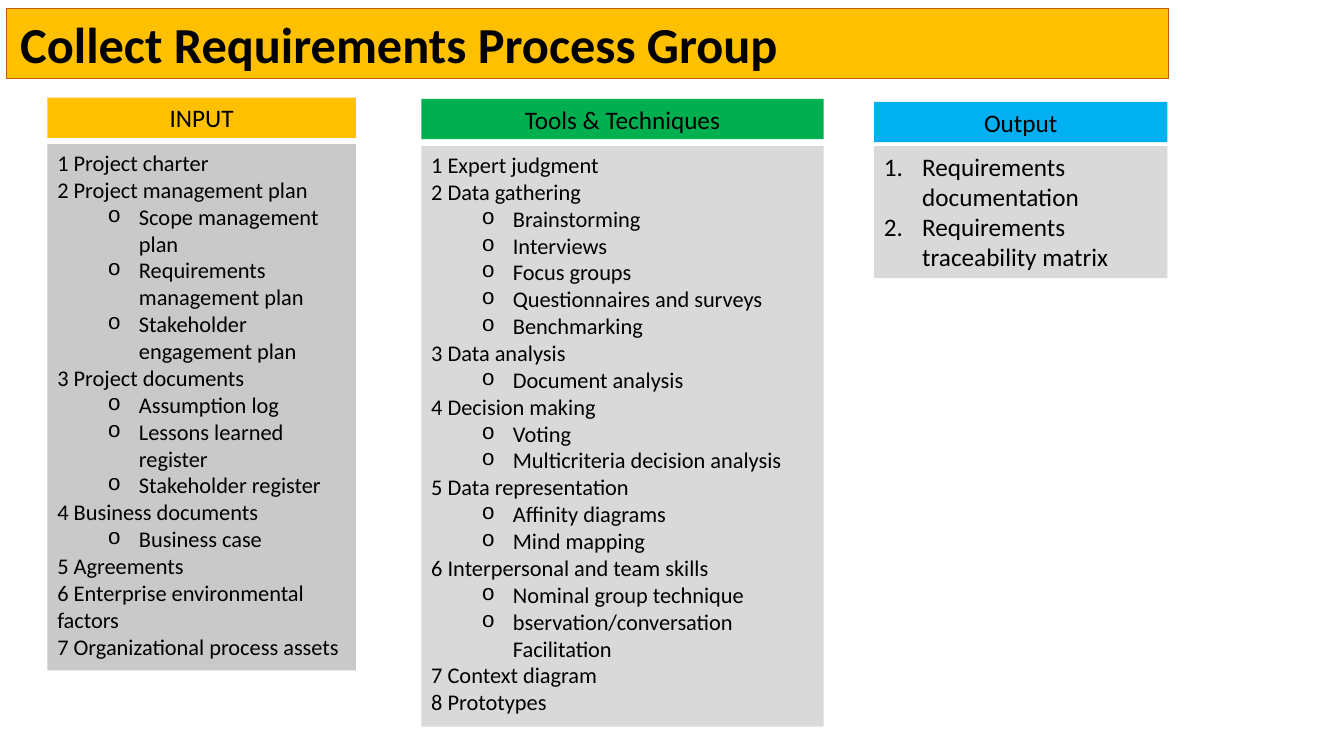
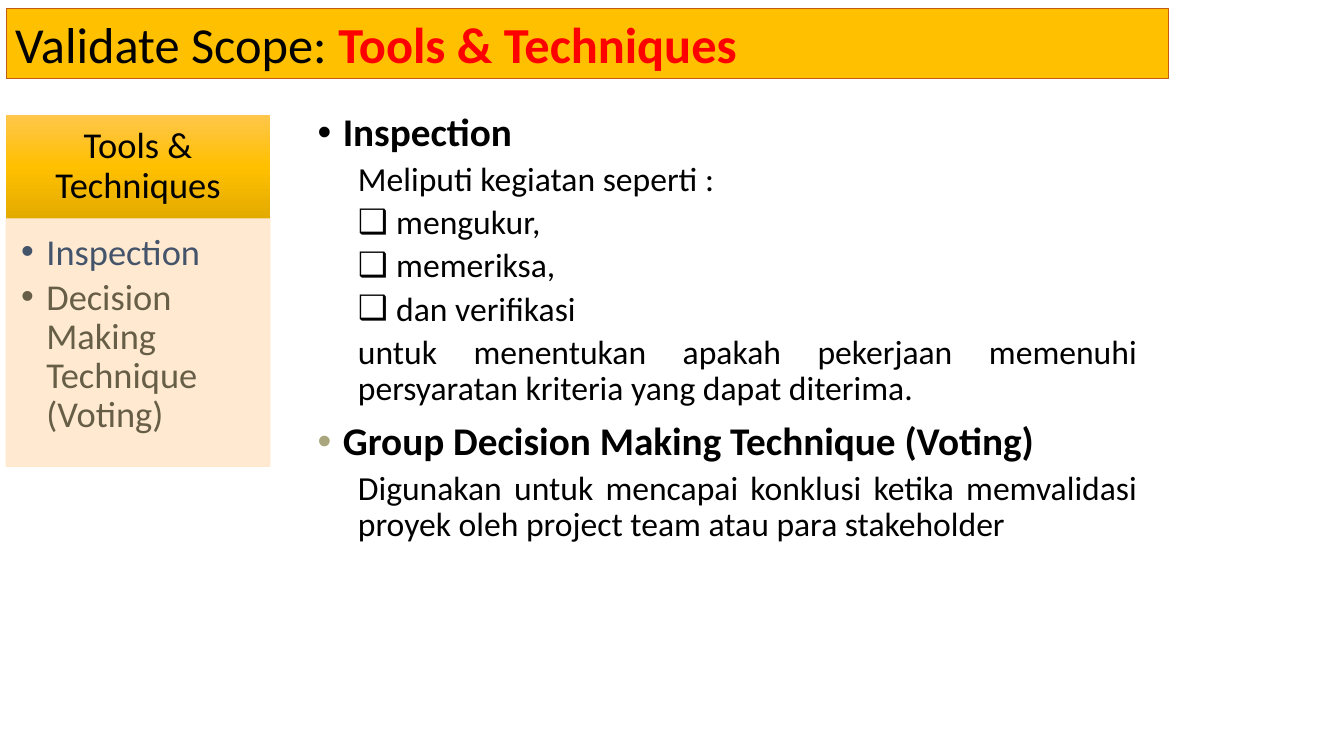
"""Build two project scope slides: collecting requirements and validating scope."""
from copy import deepcopy

from lxml import etree
from pptx import Presentation
from pptx.dml.color import RGBColor
from pptx.enum.shapes import MSO_SHAPE
from pptx.enum.text import MSO_ANCHOR, MSO_AUTO_SIZE, PP_ALIGN
from pptx.oxml.ns import qn
from pptx.util import Inches, Pt

RECTANGLE = MSO_SHAPE.RECTANGLE
TOP, MIDDLE = MSO_ANCHOR.TOP, MSO_ANCHOR.MIDDLE
NO_FIT = MSO_AUTO_SIZE.NONE
LEFT, CENTER, JUSTIFY = PP_ALIGN.LEFT, PP_ALIGN.CENTER, PP_ALIGN.JUSTIFY

FONT = "Calibri"
COLORS = {
    "black": "000000", "red": "FF0000", "amber": "FFC000", "rust": "C55A11",
    "green": "00B050", "blue": "00B0F0", "silver": "C9C9C9", "gray": "D9D9D9",
    "light amber": "FFC64B", "dark amber": "E3AB00", "cream": "FFE8CC",
    "slate": "44546A", "olive": "675E47", "sage": "A9A57C",
}
RGB = {name: RGBColor.from_string(value) for name, value in COLORS.items()}


def set_box(shape, area, anchor, fill=None, insets=(0.1, 0.05, 0.1, 0.05)):
    """Place a shape by percentages of the slide and prepare its fill and text frame."""
    left, top, width, height = area
    shape.left, shape.width = int(deck.slide_width * left / 100), int(deck.slide_width * width / 100)
    shape.top, shape.height = int(deck.slide_height * top / 100), int(deck.slide_height * height / 100)
    if fill:
        shape.fill.solid()
        shape.fill.fore_color.rgb = RGB[fill]
        shape.line.fill.background()
    frame = shape.text_frame
    frame.word_wrap, frame.auto_size, frame.vertical_anchor = True, NO_FIT, anchor
    frame.margin_left, frame.margin_top, frame.margin_right, frame.margin_bottom = map(Inches, insets)
    return frame


def add_text(frame, runs, size, align=LEFT, level=0, indent=(0, 0), bullet=None,
             bullet_color=None, spacing=1.0, before=0, after=0):
    """Add a paragraph of (text, color, bold) runs, using the empty first one if there is one."""
    first = not frame.paragraphs[0].runs
    para = frame.paragraphs[0] if first else frame.add_paragraph()
    para.alignment, para.level, para.line_spacing = align, level, spacing
    para.space_before, para.space_after = Pt(0 if first else before), Pt(after)
    properties = para._p.get_or_add_pPr()
    properties.set("marL", str(Inches(indent[0])))
    properties.set("indent", str(Inches(indent[1])))
    if bullet_color:
        color = etree.SubElement(properties, qn("a:buClr"))
        etree.SubElement(color, qn("a:srgbClr"), val=COLORS[bullet_color])
    if bullet == "1.":
        etree.SubElement(properties, qn("a:buFont"), typeface=FONT)
        etree.SubElement(properties, qn("a:buAutoNum"), type="arabicPeriod")
    elif bullet:
        typeface = "Courier New" if bullet == "o" else "Arial"
        etree.SubElement(properties, qn("a:buFont"), typeface=typeface)
        etree.SubElement(properties, qn("a:buChar"), char=bullet)
    else:
        etree.SubElement(properties, qn("a:buNone"))
    for text, color, bold in runs:
        span = para.add_run()
        span.text = text
        span.font.name, span.font.size, span.font.bold = FONT, Pt(size), bold
        span.font.color.rgb = RGB[color]


deck = Presentation()
deck.slide_width, deck.slide_height = Inches(13.33), Inches(7.5)
title_and_body, title_only = deck.slide_layouts[1], deck.slide_layouts[5]

titles = [
    (title_only, 0.14, [("Collect Requirements Process Group", "black", True)]),
    (title_and_body, 0.09, [("Validate Scope: ", "black", False),
                            ("Tools & Techniques", "red", True)]),
]
pages = []
for layout, inset, runs in titles:
    page = deck.slides.add_slide(layout)
    band = page.shapes.title
    frame = set_box(band, (0.45, 1.07, 86.48, 9.33), MIDDLE, "amber", (inset, 0.05, 0.09, 0.05))
    band.line.color.rgb, band.line.width = RGB["rust"], Pt(0.75)
    add_text(frame, runs, 36)
    pages.append(page)
process_page, scope_page = pages

inputs = [
    ("1 Project charter", []),
    ("2 Project management plan", ["Scope management plan", "Requirements management plan",
                                   "Stakeholder engagement plan"]),
    ("3 Project documents", ["Assumption log", "Lessons learned register", "Stakeholder register"]),
    ("4 Business documents", ["Business case"]),
    ("5 Agreements", []),
    ("6 Enterprise environmental factors", []),
    ("7 Organizational process assets", []),
]
techniques = [
    ("1 Expert judgment", []),
    ("2 Data gathering", ["Brainstorming", "Interviews", "Focus groups",
                          "Questionnaires and surveys", "Benchmarking"]),
    ("3 Data analysis", ["Document analysis"]),
    ("4 Decision making", ["Voting", "Multicriteria decision analysis"]),
    ("5 Data representation", ["Affinity diagrams", "Mind mapping"]),
    ("6 Interpersonal and team skills", ["Nominal group technique",
                                         "bservation/conversation Facilitation"]),
    ("7 Context diagram", []),
    ("8 Prototypes", []),
]
outputs = [("Requirements documentation", []), ("Requirements traceability matrix", [])]

plain_item = {"size": 16}
numbered_item = {"size": 18, "indent": (0.38, -0.38), "bullet": "1."}
columns = [
    ("INPUT", "amber", "silver", 3.53, 22.95, 12.93, 19.07, 69.6, inputs, plain_item),
    ("Tools & Techniques", "green", "gray", 31.35, 29.93, 13.07, 19.33, 76.8, techniques, plain_item),
    ("Output", "blue", "gray", 65.03, 21.83, 13.47, 19.33, 17.47, outputs, numbered_item),
]
for heading, head_fill, list_fill, left, width, head_top, list_top, height, items, style in columns:
    head = process_page.shapes.add_shape(RECTANGLE, 0, 0, 0, 0)
    head.shadow.inherit = False
    frame = set_box(head, (left, head_top, width, 5.33), MIDDLE, head_fill)
    add_text(frame, [(heading, "black", False)], 18, CENTER)
    panel = process_page.shapes.add_shape(RECTANGLE, 0, 0, 0, 0)
    panel.shadow.inherit = False
    frame = set_box(panel, (left, list_top, width, height), TOP, list_fill)
    for item, details in items:
        add_text(frame, [(item, "black", False)], **style)
        for detail in details:
            add_text(frame, [(detail, "black", False)], 16, level=1, indent=(0.81, -0.31), bullet="o")

card_head = scope_page.shapes.add_shape(RECTANGLE, 0, 0, 0, 0)
card_head.shadow.inherit = False
frame = set_box(card_head, (0.45, 15.2, 19.65, 13.73), MIDDLE, "amber", (0.2, 0.12, 0.2, 0.12))
card_head.fill.gradient()
card_head.fill.gradient_angle = 270
stop_list = card_head._element.spPr.find(".//" + qn("a:gsLst"))
stop_list.insert(1, deepcopy(stop_list[0]))
shades = [(0, "light amber"), (0.5, "amber"), (1, "dark amber")]
for stop, (position, shade) in zip(card_head.fill.gradient_stops, shades):
    stop.position, stop.color.rgb = position, RGB[shade]
add_text(frame, [("Tools & Techniques", "black", False)], 26, CENTER, spacing=0.9)

card = scope_page.shapes.add_shape(RECTANGLE, 0, 0, 0, 0)
card.shadow.inherit = False
frame = set_box(card, (0.45, 28.93, 19.65, 32.8), TOP, "cream", (0.15, 0.15, 0.2, 0.23))
card.line.color.rgb, card.line.width = RGB["cream"], Pt(0.5)
for color in card._element.spPr.iter(qn("a:srgbClr")):
    etree.SubElement(color, qn("a:alpha"), val="90000")
for item, color in [("Inspection", "slate"), ("Decision Making Technique (Voting)", "olive")]:
    add_text(frame, [(item, color, False)], 26, level=1, indent=(0.25, -0.25),
             bullet="•", spacing=0.9, after=4)

topic = {"size": 28, "indent": (0.25, -0.25), "bullet": "•", "before": 10}
detail = {"size": 24, "level": 1, "indent": (0.4, 0), "before": 5}
check = {**detail, "indent": (0.78, -0.38), "bullet": "❑"}
explanations = [
    ("Inspection", topic),
    ("Meliputi kegiatan seperti :", detail),
    ("mengukur,", check),
    ("memeriksa,", check),
    ("dan verifikasi", check),
    ("untuk menentukan apakah pekerjaan memenuhi persyaratan kriteria yang dapat diterima.", detail),
    ("Group Decision Making Technique (Voting)", {**topic, "bullet_color": "sage"}),
    ("Digunakan untuk mencapai konklusi ketika memvalidasi proyek oleh project team "
     "atau para stakeholder", detail),
]
frame = set_box(scope_page.placeholders[1], (22.88, 14.27, 62.48, 70), TOP)
for text, style in explanations:
    add_text(frame, [(text, "black", style["size"] == 28)], align=JUSTIFY, spacing=0.9, **style)

deck.save("out.pptx")
